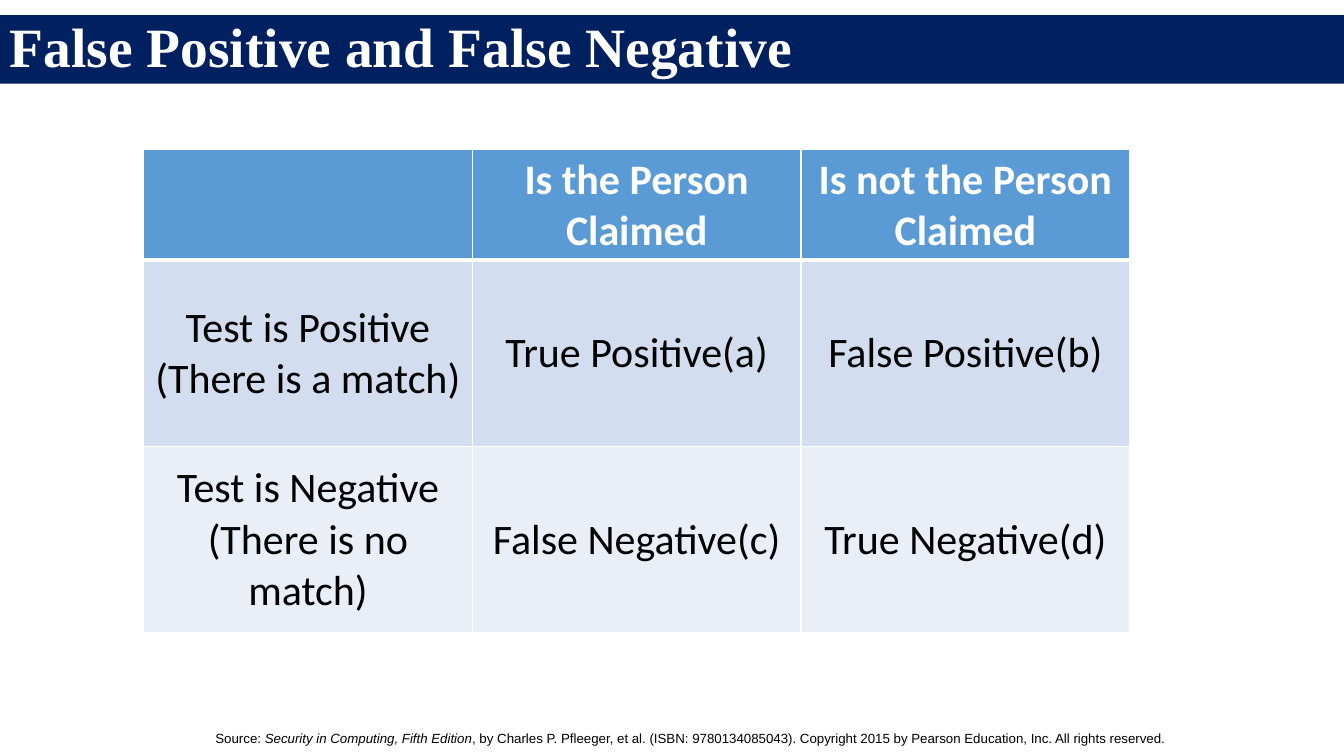
from lxml.etree import SubElement
from pptx import Presentation
from pptx.dml.color import RGBColor
from pptx.enum.shapes import MSO_SHAPE as Shape
from pptx.enum.text import MSO_ANCHOR as Anchor, PP_ALIGN as Align
from pptx.oxml.ns import qn
from pptx.util import Inches, Pt

COLORS = {
    "navy": "002060",
    "header": "5B9BD5",
    "band_dark": "D2DEEF",
    "band_light": "EAEFF7",
    "white": "FFFFFF",
    "black": "000000",
}
GRID_COLUMNS, GRID_ROWS = 160, 90

OUTCOMES = [
    ["", "Is the Person Claimed", "Is not the Person Claimed"],
    ["Test is Positive\n(There is a match)", "True Positive(a)", "False Positive(b)"],
    ["Test is Negative\n(There is no match)", "False Negative(c)", "True Negative(d)"],
]
SOURCE = [
    ("Source: ", False),
    ("Security in Computing, Fifth Edition", True),
    (", by Charles P. Pfleeger, et al. (ISBN: 9780134085043). "
     "Copyright 2015 by Pearson Education, Inc. All rights reserved.", False),
]


def rgb(name):
    return RGBColor.from_string(COLORS[name])


class SlideBuilder:
    def __init__(self, presentation):
        self.column = presentation.slide_width / GRID_COLUMNS
        self.row = presentation.slide_height / GRID_ROWS
        self.slide = presentation.slides.add_slide(presentation.slide_layouts[6])

    def area(self, left, top, width, height):
        """Turn grid columns and rows into slide lengths."""
        return (round(left * self.column), round(top * self.row),
                round(width * self.column), round(height * self.row))

    def style(self, paragraph, font_name, size, color, bold=False, align=Align.CENTER):
        paragraph.alignment = align
        for run in paragraph.runs:
            run.font.name = font_name
            run.font.size = Pt(size)
            run.font.bold = bold
            run.font.color.rgb = rgb(color)

    def title(self, text, *place):
        bar = self.slide.shapes.add_shape(Shape.RECTANGLE, *self.area(*place))
        bar.shadow.inherit = False
        bar.fill.solid()
        bar.fill.fore_color.rgb = rgb("navy")
        bar.line.fill.background()
        frame = bar.text_frame
        frame.text = text
        frame.vertical_anchor = Anchor.MIDDLE
        paragraph = frame.paragraphs[0]
        paragraph.line_spacing = 0.9
        self.style(paragraph, "Times New Roman", 39.6, "white", True, Align.LEFT)

    def source_line(self, pieces, *place):
        frame = self.slide.shapes.add_textbox(*self.area(*place)).text_frame
        frame.word_wrap = True
        frame.vertical_anchor = Anchor.MIDDLE
        paragraph = frame.paragraphs[0]
        for text, italic in pieces:
            run = paragraph.add_run()
            run.text = text
            run.font.italic = italic
        self.style(paragraph, "Arial", 9.5, "black")

    def borders(self, cell, widths):
        properties = cell._tc.get_or_add_tcPr()
        for side, width in widths.items():
            line = SubElement(properties, qn(f"a:ln{side}"), w=str(Pt(width)))
            fill = SubElement(line, qn("a:solidFill"))
            SubElement(fill, qn("a:srgbClr"), val=COLORS["white"])

    def table(self, rows, row_heights, fills, *place):
        table = self.slide.shapes.add_table(
            len(rows), len(rows[0]), *self.area(*place, sum(row_heights))).table
        for row_index, texts in enumerate(rows):
            table.rows[row_index].height = round(row_heights[row_index] * self.row)
            header = row_index == 0
            top, bottom = (3 if row_index == 1 else 1), (3 if header else 1)
            for column_index, text in enumerate(texts):
                cell = table.cell(row_index, column_index)
                self.borders(cell, {"L": 1, "R": 1, "T": top, "B": bottom})
                cell.fill.solid()
                cell.fill.fore_color.rgb = rgb(fills[row_index])
                cell.vertical_anchor = Anchor.MIDDLE
                cell.text_frame.text = text
                for paragraph in cell.text_frame.paragraphs:
                    self.style(paragraph, "Calibri", 30,
                               "white" if header else "black", header)


def main():
    presentation = Presentation()
    presentation.slide_width = Inches(13.33)
    presentation.slide_height = Inches(7.5)
    builder = SlideBuilder(presentation)
    builder.title("False Positive and False Negative", 0, 1.8, GRID_COLUMNS, 8.15)
    builder.source_line(SOURCE, 22.2, 85.7, 120, 4.3)
    builder.table(OUTCOMES, [12.85, 22.2, 22.2],
                  ["header", "band_dark", "band_light"], 17.1, 17.75, 117.4)
    presentation.save("out.pptx")


if __name__ == "__main__":
    main()
